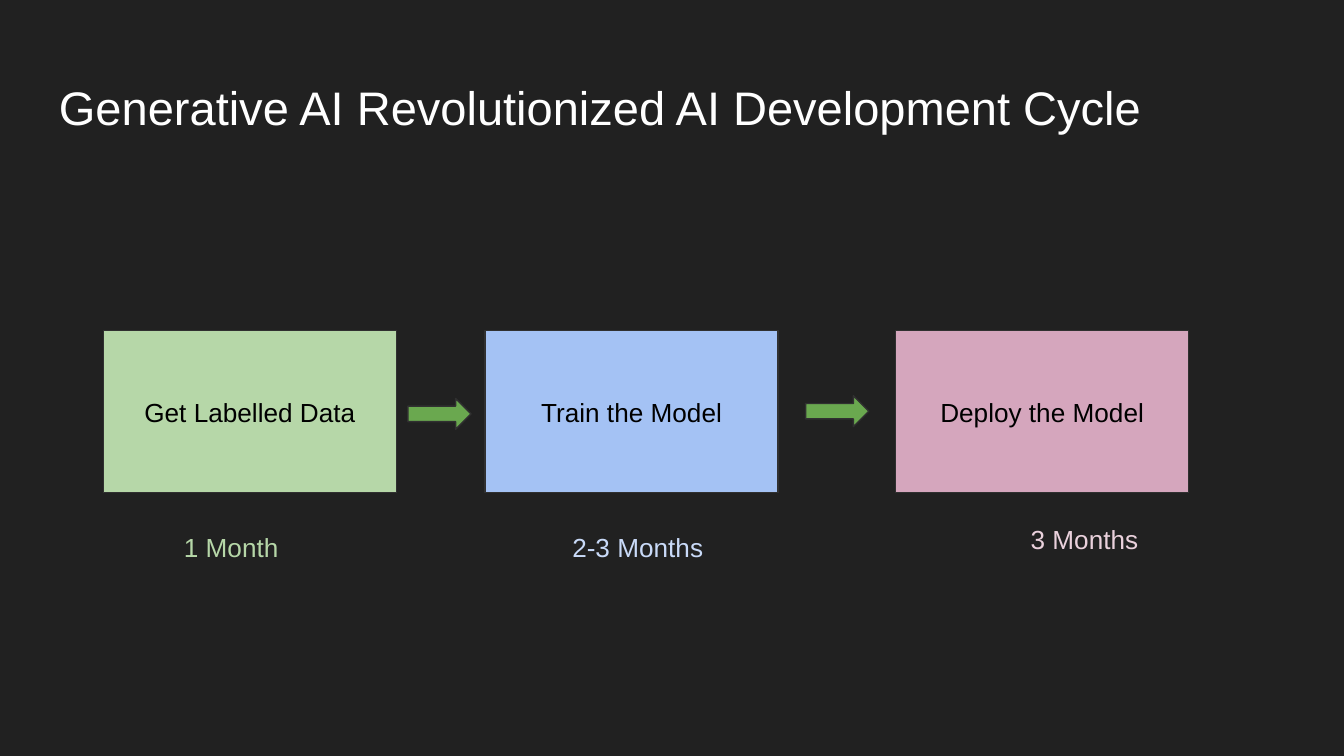
from dataclasses import dataclass

from pptx import Presentation
from pptx import util as u
from pptx.dml.color import RGBColor
from pptx.enum import shapes, text

PX = 4572


@dataclass(frozen=True)
class Theme:
    """Colours, font and type sizes of the slide."""
    back: str = "212121"
    edge: str = "303030"
    head: str = "FFFFFF"
    ink: str = "000000"
    arrow: str = "6AA84F"
    green: str = "B6D7A8"
    blue: str = "A4C2F4"
    pink: str = "D5A6BD"
    sky: str = "C9DAF8"
    rose: str = "EAD1DC"
    font: str = "Arial"
    big: float = 25.2
    body: float = 14


THEME = Theme()


def rgb(code):
    """Turn a hex code into a colour."""
    return RGBColor.from_string(code)


def emu(box):
    """Scale a px box to EMU."""
    return [u.Emu(n * PX) for n in box]


def write(shape, words, size, color, align, anchor):
    """Set and format the words of a shape."""
    frame = shape.text_frame
    frame.word_wrap = True
    frame.margin_left = frame.margin_right = u.Emu(20 * PX)
    frame.margin_top = frame.margin_bottom = u.Emu(20 * PX)
    frame.vertical_anchor = anchor
    frame.text = words
    para = frame.paragraphs[0]
    para.alignment = align
    font = para.runs[0].font
    font.name, font.size = THEME.font, u.Pt(size)
    font.color.rgb = rgb(color)


def label(slide, box, words, size, color):
    """Place a left-aligned text box."""
    area = slide.shapes.add_textbox(*emu(box))
    write(area, words, size, color, text.PP_ALIGN.LEFT, text.MSO_ANCHOR.TOP)


def block(slide, kind, box, fill):
    """Place a filled shape with a thin edge."""
    shape = slide.shapes.add_shape(kind, *emu(box))
    shape.shadow.inherit = False
    shape.fill.solid()
    shape.fill.fore_color.rgb = rgb(fill)
    shape.line.color.rgb = rgb(THEME.edge)
    shape.line.width = u.Pt(0.75)
    return shape


def stage(slide, box, name, fill, time, tint, shift):
    """Place a stage card with its duration below, shifted from the card's corner."""
    left, top = box[:2]
    card = block(slide, shapes.MSO_SHAPE.RECTANGLE, box, fill)
    write(card, name, THEME.body, THEME.ink,
          text.PP_ALIGN.CENTER, text.MSO_ANCHOR.MIDDLE)
    label(slide, (left + shift[0], top + shift[1], 268, 114), time, THEME.body, tint)


def cycle(slide, box):
    """Place the three stages and the arrows between them."""
    left, top, _, high = box
    stages = (
        (0, "Get Labelled Data", THEME.green, "1 Month", THEME.green, (100, 279)),
        (568, "Train the Model", THEME.blue, "2-3 Months", THEME.sky, (110, 279)),
        (1179, "Deploy the Model", THEME.pink, "3 Months", THEME.rose, (181, 267)),
    )
    for x, *parts in stages:
        stage(slide, (left + x, top, 436, high), *parts)
    for x, y in ((453, 101), (1045, 97)):
        block(slide, shapes.MSO_SHAPE.RIGHT_ARROW,
              (left + x, top + y, 94, 46), THEME.arrow)


def main():
    """Build and save the slide."""
    deck = Presentation()
    deck.slide_width, deck.slide_height = emu((2000, 1125))
    slide = deck.slides.add_slide(deck.slide_layouts[6])
    slide.background.fill.solid()
    slide.background.fill.fore_color.rgb = rgb(THEME.back)
    label(slide, (68, 97, 1864, 126),
          "Generative AI Revolutionized AI Development Cycle", THEME.big, THEME.head)
    cycle(slide, (154, 492, 1615, 241))
    deck.save("out.pptx")


if __name__ == "__main__":
    main()
